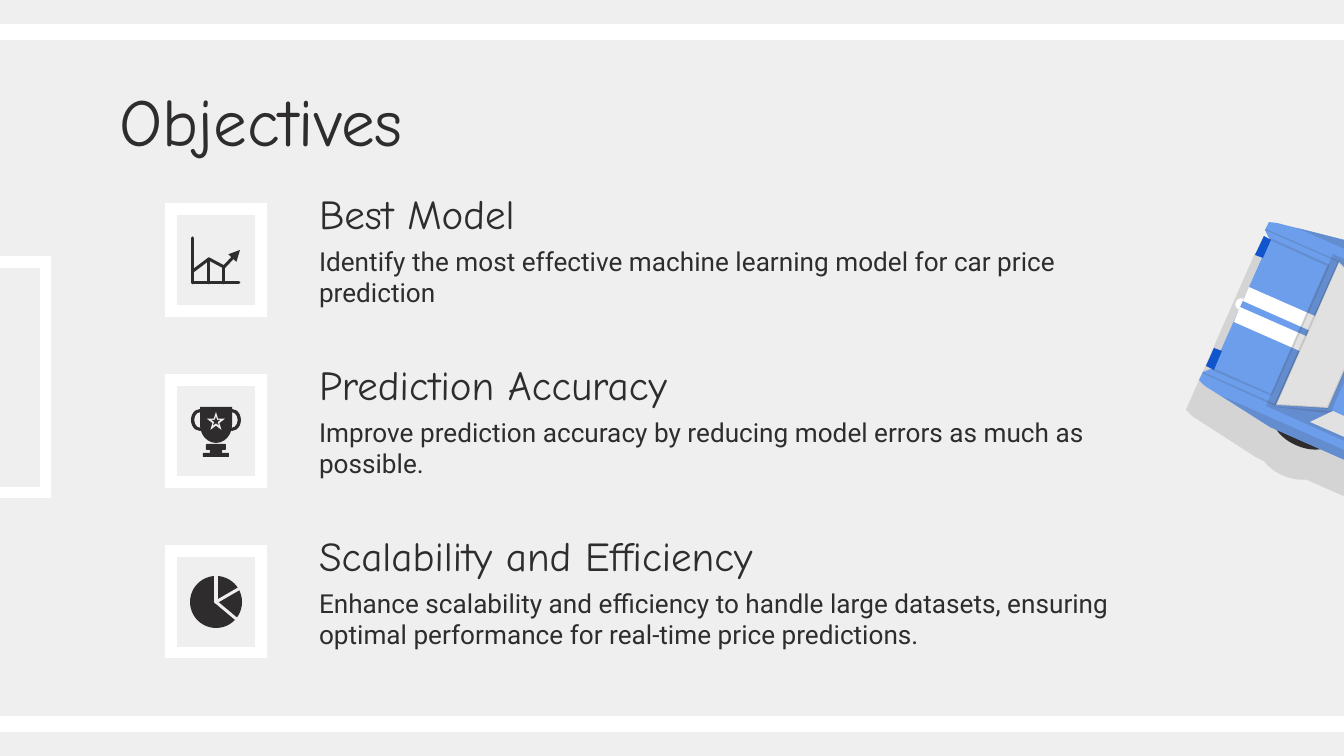
"""Build the Objectives slide with three icon rows and a car at the right edge."""
from collections.abc import Callable
from dataclasses import dataclass
from itertools import pairwise
from math import cos, radians, sin

from lxml.etree import SubElement
from pptx import Presentation
from pptx.dml.color import RGBColor
from pptx.enum.shapes import MSO_CONNECTOR, MSO_SHAPE
from pptx.enum.text import MSO_ANCHOR, MSO_AUTO_SIZE, PP_ALIGN
from pptx.oxml.ns import qn
from pptx.util import Pt

SLIDE_WIDTH, SLIDE_HEIGHT = 1344, 756
SCALE = 9144000 / SLIDE_WIDTH
INK, WHITE, PAPER = "2E2C2C", "FFFFFF", "EFEFEF"
BLUE, LAMP_BLUE, GROUND_GRAY = "6D9EEB", "1155CC", "D4D4D4"
HEADING_FONT, BODY_FONT = "Comic Neue", "Roboto"
SHADE = 14

FIRST_ROW, ROW_PITCH = 260, 171
ICON_X = 216
TEXT_LEFT, TEXT_WIDTH = 306, 860

CAR_TILT = 23.8
NOSE_X, NOSE_Y = 1234, 301
SHADOW_SHIFT = 33

Point = tuple[float, float]


@dataclass(frozen=True)
class Box:
    left: float
    top: float
    width: int
    height: int


@dataclass(frozen=True)
class Objective:
    heading: str
    detail: str
    draw_icon: Callable


def px(length: float) -> int:
    return round(length * SCALE)


def place(box: Box) -> tuple[int, int, int, int]:
    return px(box.left), px(box.top), px(box.width), px(box.height)


def centred(x: float, y: float, width: int, height: int) -> Box:
    return Box(x - width / 2, y - height / 2, width, height)


def rgb(color: str) -> RGBColor:
    return RGBColor.from_string(color)


def paint(shape, color: str, opacity: int = 100) -> None:
    shape.shadow.inherit = False
    shape.line.fill.background()
    shape.fill.solid()
    shape.fill.fore_color.rgb = rgb(color)
    if opacity < 100:
        tint = shape._element.spPr.find(f".//{qn('a:srgbClr')}")
        SubElement(tint, qn("a:alpha")).set("val", str(opacity * 1000))


def draw_shape(slide, kind: MSO_SHAPE, box: Box, color: str, tilt: float = 0):
    shape = slide.shapes.add_shape(kind, *place(box))
    shape.rotation = tilt
    paint(shape, color)
    return shape


def draw_frame(slide, box: Box) -> None:
    frame = slide.shapes.add_shape(MSO_SHAPE.RECTANGLE, *place(box))
    frame.shadow.inherit = False
    frame.fill.background()
    frame.line.color.rgb = rgb(WHITE)
    frame.line.width = Pt(6)
    SubElement(frame.line._get_or_add_ln(), qn("a:miter")).set("lim", "800000")


def draw_line(slide, start: Point, end: Point, color: str, arrow: bool = False) -> None:
    ends = [px(value) for value in (*start, *end)]
    line = slide.shapes.add_connector(MSO_CONNECTOR.STRAIGHT, *ends)
    line.line.color.rgb = rgb(color)
    line.line.width = px(3)
    stroke = line.line._get_or_add_ln()
    stroke.set("cap", "rnd")
    if arrow:
        SubElement(stroke, qn("a:tailEnd")).set("type", "triangle")
    SubElement(line._element.spPr, qn("a:effectLst"))


def write(shape, text: str, font: str, size: int, anchor=MSO_ANCHOR.TOP) -> None:
    frame = shape.text_frame
    frame.text = text
    frame.word_wrap = True
    frame.auto_size = MSO_AUTO_SIZE.NONE
    frame.vertical_anchor = anchor
    frame.margin_left = frame.margin_right = frame.margin_top = frame.margin_bottom = px(13)
    paragraph = frame.paragraphs[0]
    paragraph.alignment = PP_ALIGN.LEFT
    for run in paragraph.runs:
        run.font.name, run.font.size = font, Pt(size)
        run.font.color.rgb = rgb(INK)


def draw_trend_icon(slide, x: int, y: int) -> None:
    left, right, top, base = x - 23, x + 23, y - 22, y + 23
    trend = [(left, y + 11), (x - 7, y - 1), (x + 8, y + 7), (x + 24, y - 10)]
    draw_line(slide, (left, top), (left, base), INK)
    draw_line(slide, (left, base), (right, base), INK)
    for bend_x, bend_y in trend[1:3]:
        draw_line(slide, (bend_x, bend_y), (bend_x, base), INK)
    for start, end in pairwise(trend):
        draw_line(slide, start, end, INK, arrow=end == trend[-1])


def draw_trophy_icon(slide, x: int, y: int) -> None:
    for side in (-1, 1):
        handle = draw_shape(slide, MSO_SHAPE.DONUT, centred(x + side * 16, y - 11, 18, 22), INK)
        handle.adjustments[0] = 0.18
    draw_shape(slide, MSO_SHAPE.FLOWCHART_DELAY, centred(x, y - 6, 36, 32), INK, tilt=90)
    for size, color in ((18, PAPER), (9, INK)):
        draw_shape(slide, MSO_SHAPE.STAR_5_POINT, centred(x, y - 10, size, size), color)
    for drop, width, height in ((16, 20, 6), (20, 12, 4), (24, 26, 4)):
        draw_shape(slide, MSO_SHAPE.ROUNDED_RECTANGLE, centred(x, y + drop, width, height), INK)


def draw_pie_icon(slide, x: int, y: int) -> None:
    radius = 26
    draw_shape(slide, MSO_SHAPE.OVAL, centred(x, y, 2 * radius, 2 * radius), INK)
    for angle in (0, 60, 130):
        turn = radians(angle)
        rim = x + radius * sin(turn), y - radius * cos(turn)
        draw_line(slide, (x, y), rim, PAPER)


def car_point(along: float, across: float) -> Point:
    """Turn a distance behind the nose and off the centre line into slide px."""
    turn = radians(CAR_TILT)
    return (NOSE_X + along * cos(turn) - across * sin(turn),
            NOSE_Y + along * sin(turn) + across * cos(turn))


def mirror(half: list[Point]) -> list[Point]:
    return [(along, -across) for along, across in reversed(half)]


def both_halves(half: list[Point]) -> list[Point]:
    return half + mirror(half)


def both_sides(panel: list[Point]) -> list[list[Point]]:
    return [panel, mirror(panel)]


def bar(front: int, back: int, inner: int, outer: int) -> list[Point]:
    return [(front, inner), (back, inner), (back, outer), (front, outer)]


def hood_groove(front: int, back: int, half_width: int, thick: int) -> list[Point]:
    inner = half_width - thick
    return both_halves([(back - thick, inner), (front, inner), (front, half_width), (back, half_width)])


def draw_panel(slide, color: str, *contours: list[Point], opacity: int = 100, shift: int = 0) -> None:
    builder = None
    for contour in contours:
        first, *rest = [car_point(along, across + shift) for along, across in contour]
        if builder is None:
            builder = slide.shapes.build_freeform(*first, scale=SCALE)
        else:
            builder.move_to(*first)
        builder.add_line_segments(rest)
    paint(builder.convert_to_shape(), color, opacity)


def draw_car_oval(slide, along: int, across: int, length: int, width: int, color: str) -> None:
    box = centred(*car_point(along, across), length, width)
    draw_shape(slide, MSO_SHAPE.OVAL, box, color, CAR_TILT)


def draw_car(slide) -> None:
    bumper = [(0, 78), (0, 86), (8, 89), (84, 101), (443, 101), (465, 92)]
    body, ground = both_halves([(8, 70), *bumper]), both_halves(bumper)
    sides = both_sides([(84, 101), (28, 92), (465, 92), (443, 101)])
    cowl = both_halves([(72, 83), (129, 65), (134, 62), (134, 55)])
    roof = both_halves([(135, 61), (260, 62)])
    pillars = both_sides([(135, 61), (72, 83), (277, 84), (260, 62)])
    side_window = [(135, 61), (118, 80), (288, 80), (260, 62)]
    windshield = both_halves([(80, 78), (129, 60)])
    rim = both_halves([(79, 79), (130, 61)]), both_halves([(81, 77), (128, 59)])

    draw_panel(slide, GROUND_GRAY, ground, shift=SHADOW_SHIFT)
    for shift, color in ((SHADOW_SHIFT, GROUND_GRAY), (0, INK)):
        draw_car_oval(slide, 115, 88 + shift, 65, 38, color)
    draw_car_oval(slide, 8, 0, 12, 12, WHITE)
    for panel in (body, *sides):
        draw_panel(slide, BLUE, panel)
    for lamp in both_sides(bar(1, 9, 51, 71)):
        draw_panel(slide, LAMP_BLUE, lamp)
    for panel in (cowl, roof):
        draw_panel(slide, BLUE, panel)
    draw_panel(slide, INK, hood_groove(0, 80, 79, 1), opacity=SHADE)
    for stripe in both_sides(bar(8, 460, 3, 19)):
        draw_panel(slide, WHITE, stripe)
    for pillar in pillars:
        draw_panel(slide, BLUE, pillar)
    for glass in (side_window, windshield):
        draw_panel(slide, WHITE, glass)
    draw_panel(slide, INK, *rim, opacity=SHADE)
    for panel in (hood_groove(8, 73, 72, 2), *sides, cowl, *pillars):
        draw_panel(slide, INK, panel, opacity=SHADE)


OBJECTIVES = [
    Objective("Best Model", "Identify the most effective machine learning model for car price "
              "prediction", draw_trend_icon),
    Objective("Prediction Accuracy", "Improve prediction accuracy by reducing model errors as "
              "much as possible.", draw_trophy_icon),
    Objective("Scalability and Efficiency", "Enhance scalability and efficiency to handle large "
              "datasets, ensuring optimal performance for real-time price predictions.",
              draw_pie_icon),
]


def draw_objective(slide, middle: int, objective: Objective) -> None:
    heading = slide.shapes.add_textbox(*place(Box(TEXT_LEFT, middle - 71, TEXT_WIDTH, 62)))
    write(heading, objective.heading, HEADING_FONT, 22, MSO_ANCHOR.BOTTOM)
    detail = slide.shapes.add_textbox(*place(Box(TEXT_LEFT, middle - 28, TEXT_WIDTH, 98)))
    write(detail, objective.detail, BODY_FONT, 14)
    draw_frame(slide, centred(ICON_X, middle, 90, 102))
    objective.draw_icon(slide, ICON_X, middle)


def main() -> None:
    deck = Presentation()
    deck.slide_width, deck.slide_height = px(SLIDE_WIDTH), px(SLIDE_HEIGHT)
    slide = deck.slides.add_slide(deck.slide_layouts[5])
    slide.background.fill.solid()
    slide.background.fill.fore_color.rgb = rgb(PAPER)
    for top in (24, 716):
        draw_shape(slide, MSO_SHAPE.RECTANGLE, Box(0, top, SLIDE_WIDTH, 16), WHITE)
    draw_frame(slide, Box(-32, 262, 78, 231))
    title = slide.shapes.title
    title.left, title.top, title.width, title.height = place(Box(106, 66, 1133, 85))
    write(title, "Objectives", HEADING_FONT, 36)
    for row, objective in enumerate(OBJECTIVES):
        draw_objective(slide, FIRST_ROW + row * ROW_PITCH, objective)
    draw_car(slide)
    deck.save("out.pptx")


if __name__ == "__main__":
    main()
